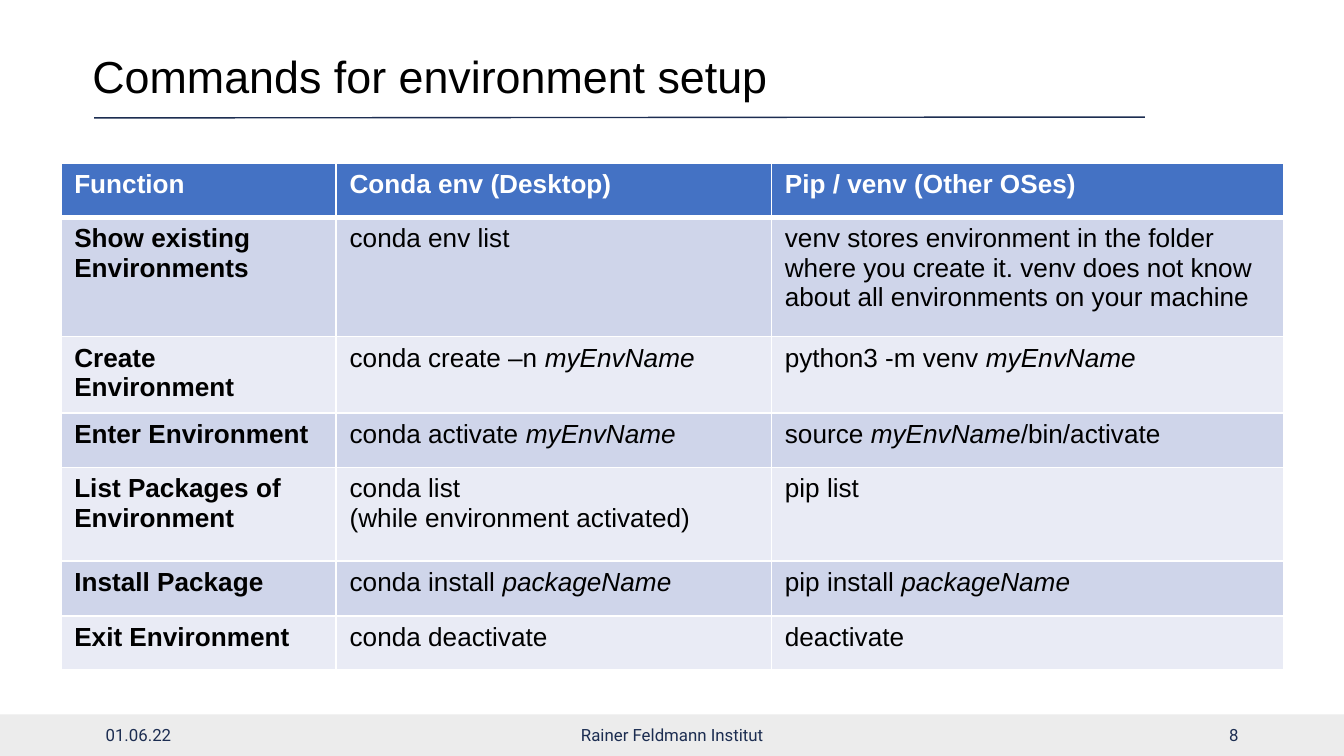
import pptx
import pptx.util
import pptx.dml.color
import pptx.enum.shapes
import pptx.enum.text
from lxml import etree
from pptx.oxml.ns import qn

Pt = pptx.util.Pt
ALIGN = pptx.enum.text.PP_ALIGN

THEME = {
    "navy": "1C2D51", "grey": "ECECEC", "black": "000000", "white": "FFFFFF",
    "header": "4472C4", "bands": ("CFD5EA", "E9EBF5"),
    "font": "Arial", "footer_font": "Roboto",
    "title_size": 24, "table_size": 14, "footer_size": 9,
}

TITLE = "Commands for environment setup"
# Text between asterisks is italic; a line break starts a new paragraph.
ROWS = [
    ("Function", "Conda env (Desktop)", "Pip / venv (Other OSes)"),
    ("Show existing Environments", "conda env list",
     "venv stores environment in the folder where you create it. "
     "venv does not know about all environments on your machine"),
    ("Create Environment", "conda create –n *myEnvName*", "python3 -m venv *myEnvName*"),
    ("Enter Environment", "conda activate *myEnvName*", "source *myEnvName*/bin/activate"),
    ("List Packages of Environment", "conda list\n(while environment activated) ", "pip list"),
    ("Install Package", "conda install *packageName*", "pip install *packageName*"),
    ("Exit Environment", "conda deactivate", "deactivate"),
]
COL_WIDTHS = (147.5, 233.2, 274.3)
ROW_HEIGHT = 29.2
TALL_ROWS = {1: 64, 4: 50.3}
TABLE_LEFT, TABLE_TOP = 32.6, 87.2
FOOTER_TOP, FOOTER_HEIGHT = 382.7, 22
FOOTER = [  # text, left, width, alignment
    ("01.06.22", 49.5, 162, ALIGN.LEFT),
    ("Rainer Feldmann Institut", 238.5, 243, ALIGN.CENTER),
    ("8", 508.5, 162, ALIGN.RIGHT),
]
RULES = [(50.4, 63.2, 613.4, 62.7), (50.4, 62.8, 613.4, 62.8)]


def rgb(name):
    """Return a colour from its theme name or hex value."""
    return pptx.dml.color.RGBColor.from_string(THEME.get(name, name))


def style(p, font, size, color, bold=False):
    """Set the font of a whole paragraph."""
    p.font.name, p.font.size, p.font.bold = font, Pt(size), bold
    p.font.color.rgb = rgb(color)


def add_text(slide, text, box, font, size, color, align=ALIGN.LEFT):
    """Add a vertically centred one-line text box and return it."""
    sp = slide.shapes.add_textbox(*map(Pt, box))
    tf = sp.text_frame
    tf.word_wrap = True
    tf.vertical_anchor = pptx.enum.text.MSO_ANCHOR.MIDDLE
    p = tf.paragraphs[0]
    p.text, p.alignment = text, align
    style(p, font, size, color)
    return sp


def add_rule(slide, ends):
    """Draw one thin line without shadow."""
    line = slide.shapes.add_connector(
        pptx.enum.shapes.MSO_CONNECTOR.STRAIGHT, *map(Pt, ends))
    line.line.color.rgb, line.line.width = rgb("navy"), Pt(0.75)
    etree.SubElement(line._element.spPr, qn("a:effectLst"))


def set_borders(cell, top, bottom):
    """Give a cell white borders, with widths in points."""
    tcPr = cell._tc.get_or_add_tcPr()
    for side, width in (("L", 1), ("R", 1), ("T", top), ("B", bottom)):
        ln = etree.SubElement(tcPr, qn("a:ln" + side), w=str(Pt(width)))
        fill = etree.SubElement(ln, qn("a:solidFill"))
        etree.SubElement(fill, qn("a:srgbClr"), val=THEME["white"])


def fill_cell(cell, text, row, col):
    """Write and colour one table cell."""
    set_borders(cell, 3 if row == 1 else 1, 3 if row == 0 else 1)
    cell.fill.solid()
    cell.fill.fore_color.rgb = rgb("header" if row == 0 else THEME["bands"][(row - 1) % 2])
    tf = cell.text_frame
    for n, line in enumerate(text.split("\n")):
        p = tf.add_paragraph() if n else tf.paragraphs[0]
        style(p, THEME["font"], THEME["table_size"],
              "black" if row else "white", row == 0 or col == 0)
        for k, part in enumerate(line.split("*")):
            if part:
                r = p.add_run()
                r.text = part
                # Run fonts are explicit because table cells ignore paragraph defaults.
                style(r, THEME["font"], THEME["table_size"],
                      "black" if row else "white", row == 0 or col == 0)
                r.font.italic = k % 2 == 1


def add_commands(slide):
    """Add the table of commands."""
    heights = [TALL_ROWS.get(i, ROW_HEIGHT) for i in range(len(ROWS))]
    table = slide.shapes.add_table(
        len(ROWS), len(COL_WIDTHS), Pt(TABLE_LEFT), Pt(TABLE_TOP),
        Pt(sum(COL_WIDTHS)), Pt(sum(heights))).table
    table.horz_banding = False
    for column, width in zip(table.columns, COL_WIDTHS):
        column.width = Pt(width)
    for i, (height, texts) in enumerate(zip(heights, ROWS)):
        table.rows[i].height = Pt(height)
        for j, text in enumerate(texts):
            fill_cell(table.cell(i, j), text, i, j)


prs = pptx.Presentation()
prs.slide_width, prs.slide_height = Pt(720), Pt(405)
slide = prs.slides.add_slide(prs.slide_layouts[6])

band = slide.shapes.add_shape(
    pptx.enum.shapes.MSO_SHAPE.RECTANGLE, 0, Pt(FOOTER_TOP), Pt(720), Pt(405 - FOOTER_TOP))
band.shadow.inherit = False
band.fill.solid()
band.fill.fore_color.rgb = rgb("grey")
band.line.fill.background()

for ends in RULES:
    add_rule(slide, ends)
for text, left, width, align in FOOTER:
    add_text(slide, text, (left, FOOTER_TOP, width, FOOTER_HEIGHT),
             THEME["footer_font"], THEME["footer_size"], "navy", align)

title = add_text(slide, TITLE, (49.5, 21.6, 564, 41),
                 THEME["font"], THEME["title_size"], "black")
title.text_frame.margin_left = 0
title.text_frame.paragraphs[0].line_spacing = 0.9
add_commands(slide)

prs.save("out.pptx")
